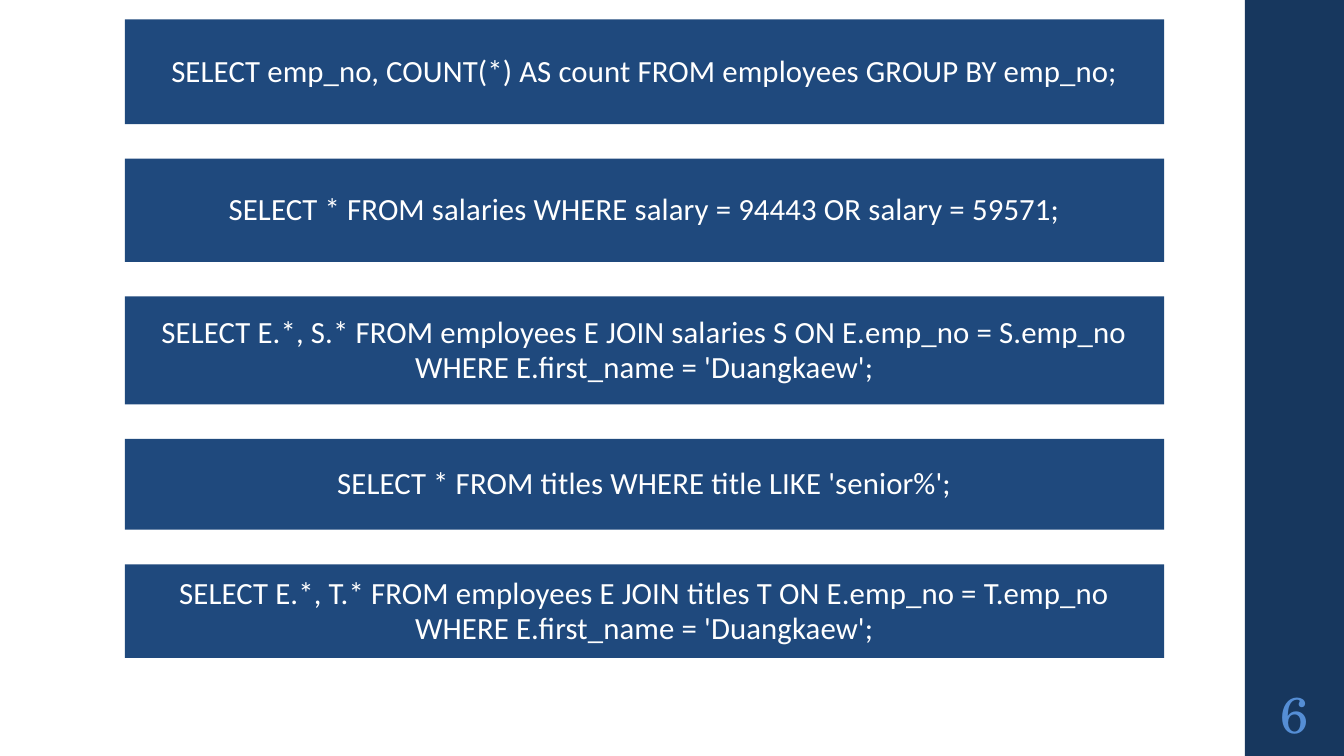
from dataclasses import dataclass

from pptx import Presentation
from pptx.dml.color import RGBColor
from pptx.enum.shapes import MSO_SHAPE
from pptx.enum.text import MSO_ANCHOR, PP_ALIGN
from pptx.util import Cm, Pt

RECT = MSO_SHAPE.RECTANGLE
MIDDLE = MSO_ANCHOR.MIDDLE
CENTER = PP_ALIGN.CENTER

COLORS = {
    "band": "17375E",
    "box": "1F497D",
    "query": "FFFFFF",
    "number": "558ED5",
}

WIDE, HIGH = 33.87, 19.05
BAND_LEFT, BAND_WIDE = 31.37, 2.5
BOX_LEFT, BOX_WIDE = 3.15, 26.19
TOP, GAP = 0.49, 0.87


@dataclass
class Query:
    text: str
    high: float


QUERIES = [
    Query("SELECT emp_no, COUNT(*) AS count FROM employees GROUP BY emp_no;", 2.64),
    Query("SELECT * FROM salaries WHERE salary = 94443 OR salary = 59571;", 2.6),
    Query("SELECT E.*, S.* FROM employees E JOIN salaries S ON E.emp_no = S.emp_no "
          "WHERE E.first_name = 'Duangkaew';", 2.72),
    Query("SELECT * FROM titles WHERE title LIKE 'senior%';", 2.29),
    Query("SELECT E.*, T.* FROM employees E JOIN titles T ON E.emp_no = T.emp_no "
          "WHERE E.first_name = 'Duangkaew';", 2.36),
]


def add_rect(slide, left: float, top: float, wide: float, high: float, color: str):
    rect = slide.shapes.add_shape(RECT, Cm(left), Cm(top), Cm(wide), Cm(high))
    rect.shadow.inherit = False
    rect.fill.solid()
    rect.fill.fore_color.rgb = RGBColor.from_string(COLORS[color])
    rect.line.fill.background()
    return rect


def write(shape, text: str, *, size: float, font: str, color: str,
          lines: float = 1.0, before: float = 0, after: float = 0,
          track: int = 0, inset: float = 0.25) -> None:
    frame = shape.text_frame
    frame.word_wrap = True
    frame.vertical_anchor = MIDDLE
    frame.margin_left = frame.margin_right = Cm(inset)
    frame.margin_top = frame.margin_bottom = Cm(0.13)
    para = frame.paragraphs[0]
    para.alignment = CENTER
    para.line_spacing = lines
    para.space_before = Pt(before)
    para.space_after = Pt(after)
    run = para.add_run()
    run.text = text
    run.font.size = Pt(size)
    run.font.name = font
    run.font.color.rgb = RGBColor.from_string(COLORS[color])
    if track:
        run.font._element.set("spc", str(track))


def draw_queries(slide, queries: list[Query]) -> None:
    top = TOP
    for query in queries:
        box = add_rect(slide, BOX_LEFT, top, BOX_WIDE, query.high, "box")
        write(box, query.text, size=22, font="Calibri", color="query",
              lines=0.95, before=14, after=2, track=10)
        top += query.high + GAP


def main() -> None:
    deck = Presentation()
    deck.slide_width, deck.slide_height = Cm(WIDE), Cm(HIGH)
    slide = deck.slides.add_slide(deck.slide_layouts[6])
    add_rect(slide, BAND_LEFT, 0, BAND_WIDE, HIGH, "band")
    draw_queries(slide, QUERIES)
    number = slide.shapes.add_textbox(Cm(BAND_LEFT), Cm(17.15), Cm(BAND_WIDE), Cm(1.65))
    write(number, "6", size=36, font="TeX Gyre Schola", color="number", inset=0.13)
    deck.save("out.pptx")


if __name__ == "__main__":
    main()
